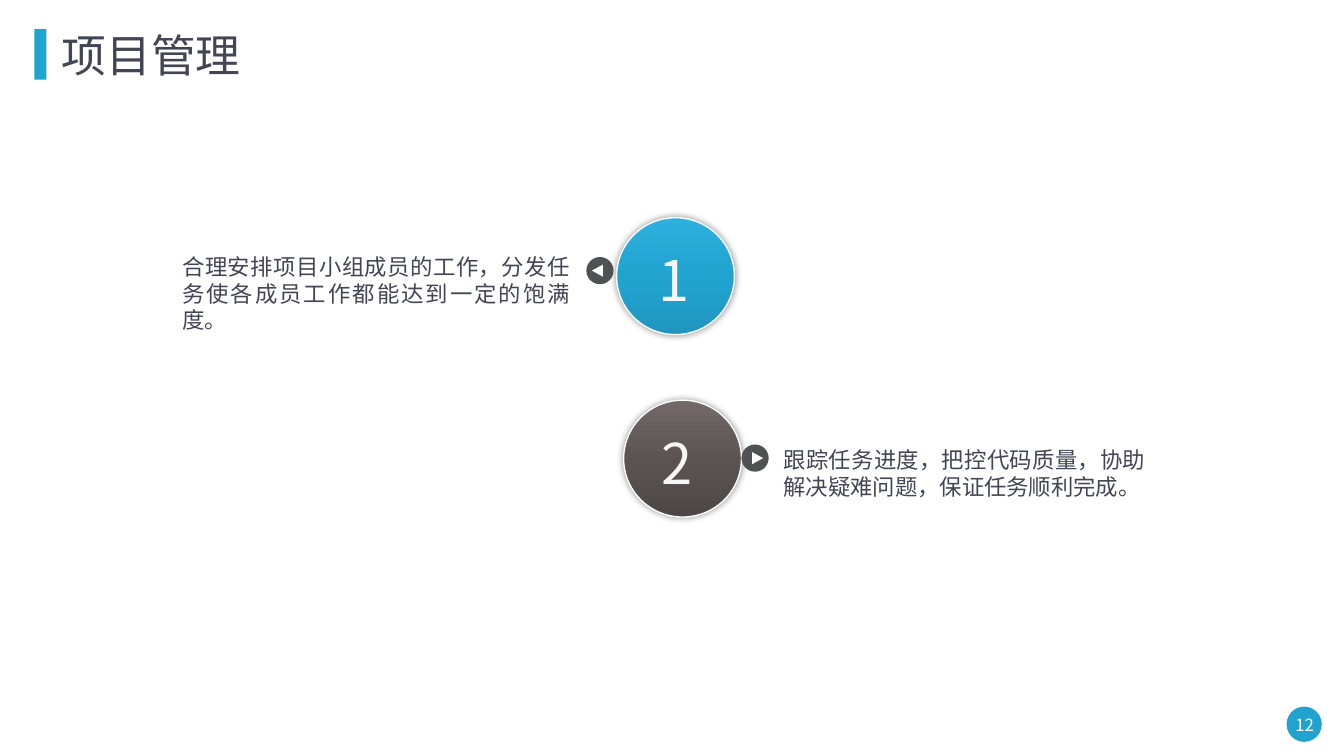
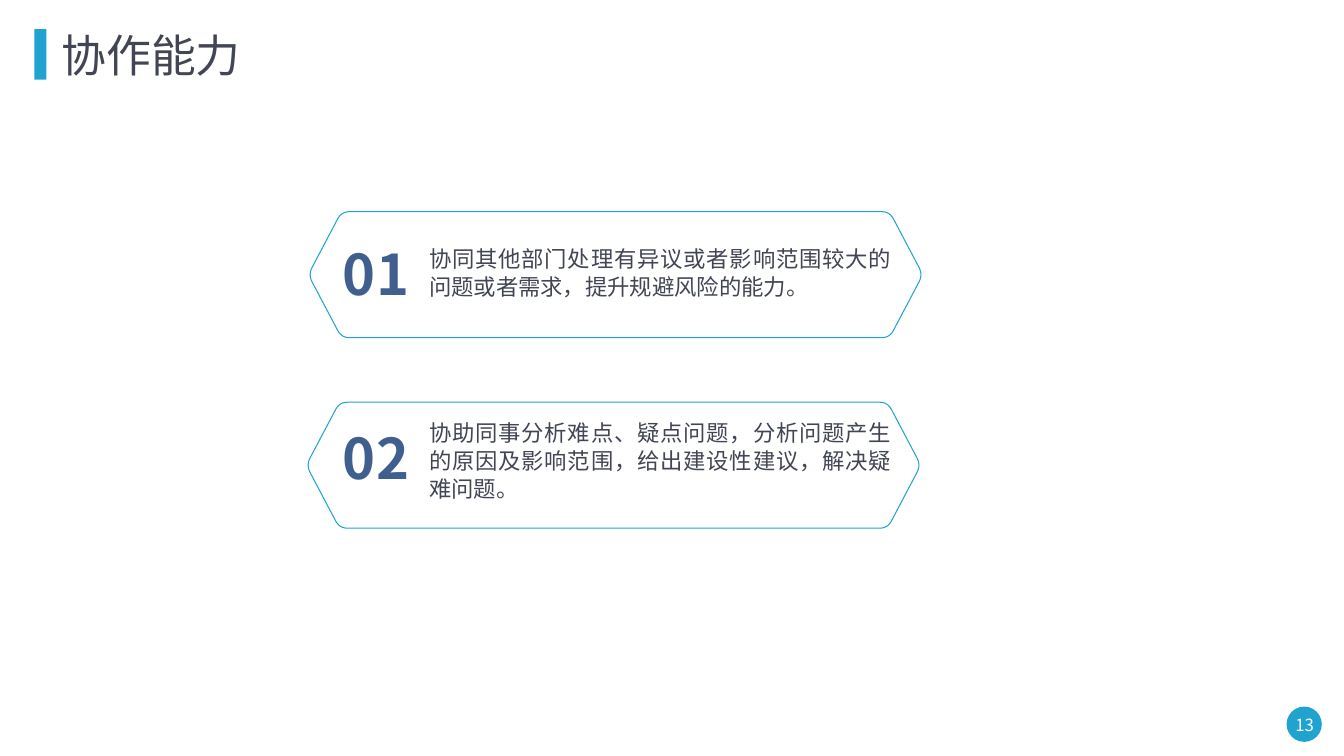
from copy import deepcopy

from lxml import etree
from pptx import Presentation
from pptx.dml.color import RGBColor
from pptx.enum.shapes import MSO_SHAPE
from pptx.enum.text import MSO_ANCHOR, MSO_AUTO_SIZE, PP_ALIGN
from pptx.oxml.ns import qn
from pptx.util import Inches, Pt

# Shared style
FONT = "Noto Sans CJK SC"
LINE_HEIGHT = 1.2  # multiple of the text size
COLORS = {
    "accent": "21A3D0",
    "text": "424554",
    "number": "405F8F",
    "pale": "F6F6F6",
    "marker": "505153",
    "white": "FFFFFF",
    "black": "000000",
}
BLUE_STOPS = [(0, "1F95BF"), (0.48, "21A3D0"), (1, "2EB0DE")]
BROWN_STOPS = [(0, "4C4746"), (0.47, "5A5352"), (1, "726968")]

# Content: positions are in inches
MANAGEMENT = {
    "title": "项目管理",
    "number": 12,
    "items": [
        {"label": "1", "stops": BLUE_STOPS, "circle": (6.12, 2.16),
         "label_at": (6.28, 2.39), "marker": (5.82, 2.55), "direction": -1,
         "text_box": (1.71, 2.46, 4.05, 0.64),
         "text": "合理安排项目小组成员的工作，分发任务使各成员工作都能达到一定的饱满度。"},
        {"label": "2", "stops": BROWN_STOPS, "circle": (6.19, 3.97),
         "label_at": (6.31, 4.2), "marker": (7.36, 4.41), "direction": 1,
         "text_box": (7.68, 4.38, 3.79, 0.64),
         "text": "跟踪任务进度，把控代码质量，协助解决疑难问题，保证任务顺利完成。"},
    ],
}
COOPERATION = {
    "title": "协作能力",
    "number": 13,
    "items": [
        {"label": "01", "frame": (3.08, 2.1), "label_top": 2.33,
         "text_top": 2.42, "text_height": 0.54,
         "text": "协同其他部门处理有异议或者影响范围较大的问题或者需求，提升规避风险的能力。"},
        {"label": "02", "frame": (3.06, 3.99), "label_top": 4.15,
         "text_top": 4.15, "text_height": 0.82,
         "text": "协助同事分析难点、疑点问题，分析问题产生的原因及影响范围，"
                 "给出建设性建议，解决疑难问题。"},
    ],
}


def rgb(name):
    return RGBColor.from_string(COLORS.get(name, name))


def format_text(frame, text, size, color, align, bold=False, spacing=0,
                line=None, inset=True, wrap=True):
    frame.word_wrap = wrap
    frame.auto_size = MSO_AUTO_SIZE.NONE
    frame.vertical_anchor = MSO_ANCHOR.TOP
    if not inset:
        frame.margin_left = frame.margin_right = 0
        frame.margin_top = frame.margin_bottom = 0
    para = frame.paragraphs[0]
    para.text = text
    para.alignment = align
    para.line_spacing = Pt(line or size * LINE_HEIGHT)
    font = para.font
    font.size, font.bold, font.name = Pt(size), bold, FONT
    font.color.rgb = rgb(color)
    # Punctuation inside the margin, East Asian typeface, letter spacing
    para._p.pPr.set("hangingPunct", "0")
    properties = para._p.pPr.find(qn("a:defRPr"))
    etree.SubElement(properties, qn("a:ea"), typeface=FONT)
    if spacing:
        properties.set("spc", str(spacing * 100))


def add_text(page, box, text, size, color, align, **options):
    shape = page.shapes.add_textbox(*map(Inches, box))
    format_text(shape.text_frame, text, size, color, align, **options)


def add_solid(page, kind, box, color):
    shape = page.shapes.add_shape(kind, *map(Inches, box))
    shape.shadow.inherit = False
    shape.fill.solid()
    shape.fill.fore_color.rgb = rgb(color)
    shape.line.fill.background()
    return shape


def add_outline(page, points):
    start, *rest = [(Inches(x), Inches(y)) for x, y in points]
    builder = page.shapes.build_freeform(*start)
    builder.add_line_segments(rest, close=True)
    shape = builder.convert_to_shape()
    shape.shadow.inherit = False
    return shape


def add_page(deck, content):
    """Title, accent bar and page number badge."""
    page = deck.slides.add_slide(deck.slide_layouts[5])
    title = page.shapes.title
    title.left, title.top = Inches(0.61), Inches(0.27)
    title.width, title.height = Inches(6.92), Inches(0.54)
    format_text(title.text_frame, content["title"], 32, "text", PP_ALIGN.LEFT,
                inset=False)
    add_solid(page, MSO_SHAPE.RECTANGLE, (0.34, 0.29, 0.12, 0.5), "accent")
    add_solid(page, MSO_SHAPE.OVAL, (12.77, 7.01, 0.35, 0.35), "accent")
    add_text(page, (12.74, 7.04, 0.42, 0.3), str(content["number"]), 12,
             "white", PP_ALIGN.CENTER, wrap=False)
    return page


def add_glossy_circle(page, left, top, stops):
    circle = add_solid(page, MSO_SHAPE.OVAL, (left, top, 1.17, 1.16), "white")
    circle.line.color.rgb = rgb("white")
    circle.line.width = Pt(1)
    circle.fill.gradient()
    circle.fill.gradient_angle = 90
    properties = circle._element.spPr
    stop_list = properties.find(qn("a:gradFill")).find(qn("a:gsLst"))
    stop_list.insert(1, deepcopy(stop_list[0]))
    for stop, (position, color) in zip(circle.fill.gradient_stops, stops):
        stop.position = position
        stop.color.rgb = rgb(color)
    # Soft shadow on all sides
    effects = properties.find(qn("a:effectLst"))
    shadow = etree.SubElement(effects, qn("a:outerShdw"),
                              blurRad=str(Pt(5)), dist="0", dir="0",
                              algn="ctr", rotWithShape="0")
    tint = etree.SubElement(shadow, qn("a:srgbClr"), val=COLORS["black"])
    etree.SubElement(tint, qn("a:alpha"), val="40000")


def add_marker(page, left, top, direction):
    """Dark dot with a white triangle; direction is -1 (left) or 1 (right)."""
    size = 0.27
    add_solid(page, MSO_SHAPE.OVAL, (left, top, size, size), "marker")
    x, y = left + size / 2, top + size / 2
    base = x - 0.03 * direction
    triangle = add_outline(page, [(x + 0.08 * direction, y),
                                  (base, y + 0.06), (base, y - 0.06)])
    triangle.fill.solid()
    triangle.fill.fore_color.rgb = rgb("white")
    triangle.line.fill.background()


def rounded(corners, cut=0.08, steps=6):
    """Replace each corner by a short curve that starts and ends at cut."""
    def toward(start, end):
        dx, dy = end[0] - start[0], end[1] - start[1]
        share = cut / (dx * dx + dy * dy) ** 0.5
        return start[0] + dx * share, start[1] + dy * share

    points = []
    for index, corner in enumerate(corners):
        first = toward(corner, corners[index - 1])
        last = toward(corner, corners[(index + 1) % len(corners)])
        for step in range(steps + 1):
            t = step / steps
            points.append(tuple(
                (1 - t) ** 2 * a + 2 * t * (1 - t) * b + t * t * c
                for a, b, c in zip(first, corner, last)))
    return points


def add_hexagon(page, left, top):
    width, height, slant, tip = 6.06, 1.25, 0.31, 0.02
    right, bottom, middle = left + width, top + height, top + height / 2
    hexagon = add_outline(page, rounded([
        (left + slant, top), (right - slant, top), (right + tip, middle),
        (right - slant, bottom), (left + slant, bottom), (left - tip, middle),
    ]))
    hexagon.fill.background()
    hexagon.line.color.rgb = rgb("accent")
    hexagon.line.width = Pt(0.75)


def build_management(deck):
    page = add_page(deck, MANAGEMENT)
    for item in MANAGEMENT["items"]:
        add_glossy_circle(page, *item["circle"], item["stops"])
        add_marker(page, *item["marker"], item["direction"])
        add_text(page, (*item["label_at"], 0.83, 0.77), item["label"], 40,
                 "pale", PP_ALIGN.CENTER)
        add_text(page, item["text_box"], item["text"], 16, "text",
                 PP_ALIGN.JUSTIFY)


def build_cooperation(deck):
    page = add_page(deck, COOPERATION)
    for item in COOPERATION["items"]:
        add_hexagon(page, *item["frame"])
        add_text(page, (4.26, item["text_top"], 4.59, item["text_height"]),
                 item["text"], 16, "text", PP_ALIGN.JUSTIFY, line=20,
                 inset=False)
        add_text(page, (3.2, item["label_top"], 1.06, 0.77), item["label"], 40,
                 "number", PP_ALIGN.CENTER, bold=True, spacing=1)


def main():
    deck = Presentation()
    deck.slide_width, deck.slide_height = Inches(13.34), Inches(7.5)
    build_management(deck)
    build_cooperation(deck)
    deck.save("out.pptx")


if __name__ == "__main__":
    main()
